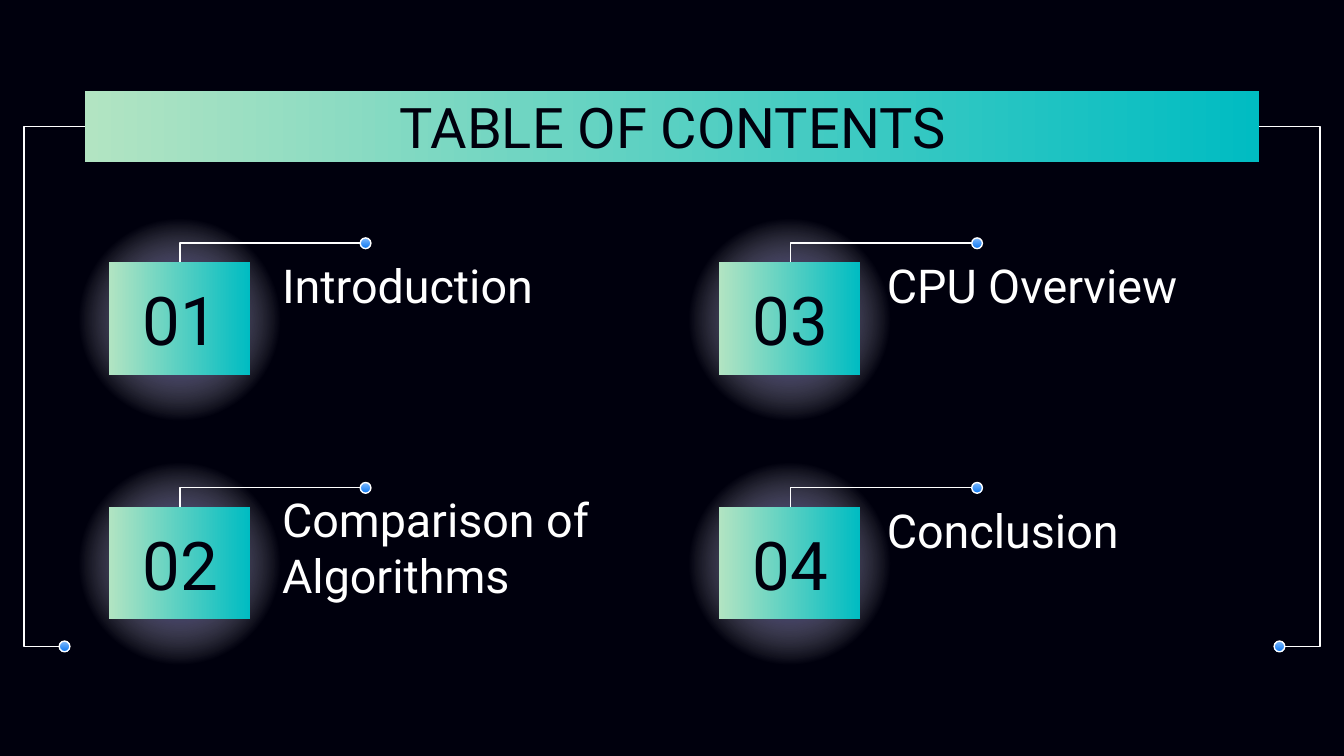
from lxml import etree
from pptx import Presentation
from pptx.dml.color import RGBColor
from pptx.enum.shapes import MSO_CONNECTOR as Link, MSO_SHAPE as Shape
from pptx.enum.text import MSO_ANCHOR as Anchor, MSO_AUTO_SIZE as AutoSize, PP_ALIGN as Align
from pptx.oxml import parse_xml
from pptx.oxml.ns import nsdecls, qn
from pptx.util import Inches, Pt

# Content: number, heading, heading top and height
TITLE = "TABLE OF CONTENTS"
COLUMNS = [
    [("01", "Introduction", 1.83, 0.58), ("02", "Comparison of Algorithms", 3.72, 0.7)],
    [("03", "CPU Overview", 1.83, 0.58), ("04", "Conclusion", 3.65, 0.58)],
]

# Style and grid
FONT, DARK, WHITE = "Roboto", "00000D", "FFFFFF"
TEAL, MINT = "00BCC2", "B2E4C2"
SKY, BLUE = "82BCFE", "0C77F1"
PAGE_W = 10
PAGE_H = PAGE_W * 9 / 16
TILE_X, HEADING_X, DOT_X = (0.81, 5.35), (2, 6.5), (2.68, 7.23)
TILE_Y = (1.95, 3.77)
TILE_W, TILE_H, DOT = 1.05, 0.84, 0.08
GLOW = f"""<a:gradFill {nsdecls('a')} rotWithShape="0"><a:gsLst>
<a:gs pos="0"><a:srgbClr val="170F8D"/></a:gs>
<a:gs pos="61000"><a:srgbClr val="FFFFFF"><a:alpha val="0"/></a:srgbClr></a:gs>
<a:gs pos="100000"><a:srgbClr val="FFFFFF"><a:alpha val="0"/></a:srgbClr></a:gs>
</a:gsLst><a:path path="circle"><a:fillToRect l="50000" t="50000" r="50000" b="50000"/></a:path>
</a:gradFill>"""


def color(value):
    return RGBColor.from_string(value)


def add_shape(kind, x, y, w, h):
    shape = page.shapes.add_shape(kind, Inches(x), Inches(y), Inches(w), Inches(h))
    shape.shadow.inherit = False
    shape.line.fill.background()
    return shape


def add_gradient(kind, x, y, w, h, first, last, angle):
    shape = add_shape(kind, x, y, w, h)
    shape.fill.gradient()
    shape.fill.gradient_angle = angle
    for stop, value in zip(shape.fill.gradient_stops, (first, last)):
        stop.color.rgb = color(value)
    return shape


def add_glow(x, y):
    shape = add_shape(Shape.OVAL, x, y, 1.77, 1.71)
    shape.fill.background()
    no_fill = shape.element.spPr.find(qn("a:noFill"))
    no_fill.getparent().replace(no_fill, parse_xml(GLOW))


def add_dot(x, y):
    dot = add_gradient(Shape.OVAL, x, y - DOT / 2, DOT, DOT, SKY, BLUE, 270)
    dot.line.color.rgb = color(WHITE)
    dot.line.width = Pt(0.75)


def add_elbow(x1, y1, x2, y2, preset, bend=None):
    elbow = page.shapes.add_connector(Link.ELBOW, Inches(x1), Inches(y1), Inches(x2), Inches(y2))
    elbow.line.color.rgb = color(WHITE)
    elbow.line.width = Pt(0.75)
    properties = elbow.element.spPr
    etree.SubElement(properties, qn("a:effectLst"))
    geometry = properties.find(qn("a:prstGeom"))
    geometry.set("prst", preset)
    if bend is not None:
        guides = geometry.find(qn("a:avLst"))
        etree.SubElement(guides, qn("a:gd"), name="adj1", fmla=f"val {round(bend * 100000)}")


def write(box, text, size, value, align, anchor=Anchor.MIDDLE):
    frame = box.text_frame
    frame.word_wrap = True
    frame.auto_size = AutoSize.NONE
    frame.vertical_anchor = anchor
    frame.margin_left = frame.margin_right = Inches(0.1)
    frame.margin_top = frame.margin_bottom = Inches(0.1)
    para = frame.paragraphs[0]
    para.alignment = align
    span = para.add_run()
    span.text = text
    span.font.name = FONT
    span.font.size = Pt(size)
    span.font.color.rgb = color(value)


def add_text(x, y, w, h, *style):
    write(page.shapes.add_textbox(Inches(x), Inches(y), Inches(w), Inches(h)), *style)


deck = Presentation()
deck.slide_width, deck.slide_height = Inches(PAGE_W), Inches(PAGE_H)
page = deck.slides.add_slide(deck.slide_layouts[5])
page.background.fill.solid()
page.background.fill.fore_color.rgb = color(DARK)

# Numbered entries, with glows behind every tile
for tile_x in TILE_X:
    for tile_y in TILE_Y:
        add_glow(tile_x - 0.36, tile_y - 0.43)
for tile_x, heading_x, dot_x, entries in zip(TILE_X, HEADING_X, DOT_X, COLUMNS):
    for tile_y, (number, heading, top, height) in zip(TILE_Y, entries):
        add_gradient(Shape.RECTANGLE, tile_x, tile_y, TILE_W, TILE_H, TEAL, MINT, 180)
        add_text(heading_x, top, 2.69, height, heading, 25, WHITE, Align.LEFT)
        add_text(tile_x + 0.09, tile_y + 0.13, 0.88, 0.58, number, 36, DARK, Align.CENTER)
        add_dot(dot_x, tile_y - 0.14)
        add_elbow(dot_x, tile_y - 0.14, tile_x + 0.53, tile_y, "bentConnector2")

# Title bar with a bracket on each side
add_gradient(Shape.RECTANGLE, 0.63, 0.68, 8.74, 0.53, TEAL, MINT, 180)
for bar_x, end_x, dot_x in ((0.63, 0.44, 0.44), (9.37, 9.56, 9.56 - DOT)):
    add_dot(dot_x, 4.81)
    add_elbow(bar_x, 0.94, end_x, 4.81, "bentConnector3", 2.37)

# Title, brought in front of its bar
title = page.shapes.title
title.left, title.top, title.width, title.height = map(Inches, (0.79, 0.59, 8.43, 0.63))
write(title, TITLE, 30, DARK, Align.CENTER, Anchor.TOP)
page.shapes.element.append(title.element)

deck.save("out.pptx")
